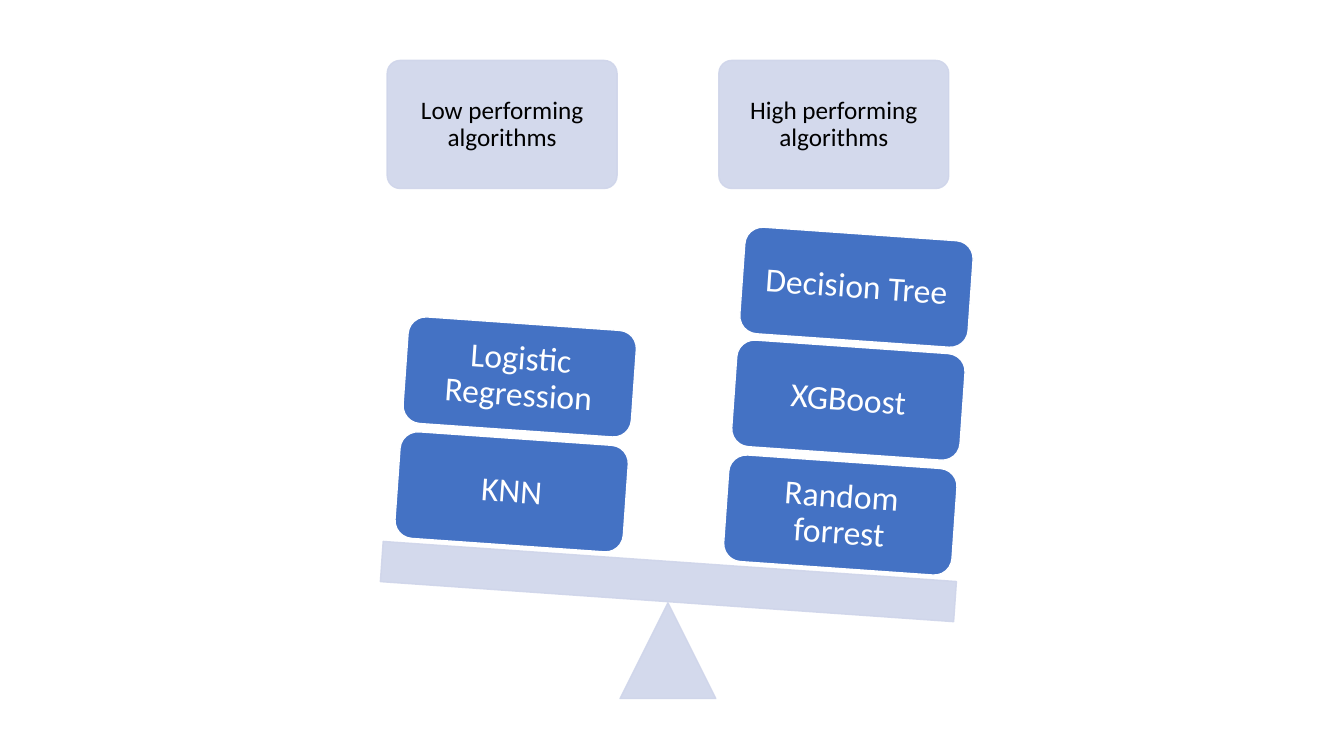
import pptx
import pptx.util
import pptx.dml.color
import pptx.enum.shapes
import pptx.enum.text
import pptx.oxml.ns
import lxml.etree

SIDES = [
    {"heading": "Low performing algorithms", "heading_left": 3.84,
     "base": (3.94, 4.35), "blocks": ["KNN", "Logistic Regression"]},
    {"heading": "High performing algorithms", "heading_left": 7.13,
     "base": (7.2, 4.58), "blocks": ["Random forrest", "XGBoost", "Decision Tree"]},
]
COLORS = {"pale": "CFD5EA", "block": "4472C4", "white": "FFFFFF", "black": "000000"}
FONT = "Calibri"
TILT = 4
PALE_OPACITY = 90
LEVEL_RISE = (0, 1.14, 2.26)
LEVEL_SHIFT = 0.08
HEADING_TOP, HEADING_SIZE = 0.6, (2.28, 1.27)
BLOCK_SIZE = (2.27, 1.06)
KINDS = pptx.enum.shapes.MSO_SHAPE

presentation = pptx.Presentation()
presentation.slide_width = pptx.util.Inches(13.33)
presentation.slide_height = pptx.util.Inches(7.5)
slide = presentation.slides.add_slide(presentation.slide_layouts[6])


def rgb(name):
    return pptx.dml.color.RGBColor.from_string(COLORS[name])


def add_part(kind, left, top, width, height, fill="pale", line="pale",
             opacity=PALE_OPACITY, rotation=0, corner=None):
    box = [pptx.util.Inches(length) for length in (left, top, width, height)]
    shape = slide.shapes.add_shape(kind, *box)
    shape.rotation = rotation
    shape.shadow.inherit = False
    shape.fill.solid()
    shape.fill.fore_color.rgb = rgb(fill)
    shape.line.color.rgb = rgb(line)
    shape.line.width = pptx.util.Pt(1)
    if corner is not None:
        shape.adjustments[0] = corner
    if opacity < 100:
        properties = shape._element.spPr
        for color in properties.iter(pptx.oxml.ns.qn("a:srgbClr")):
            alpha = lxml.etree.SubElement(color, pptx.oxml.ns.qn("a:alpha"))
            alpha.set("val", str(opacity * 1000))
    return shape


def write_text(shape, text, size, color, inset):
    frame = shape.text_frame
    frame.word_wrap = True
    frame.vertical_anchor = pptx.enum.text.MSO_ANCHOR.MIDDLE
    frame.margin_left = frame.margin_right = pptx.util.Inches(inset)
    frame.margin_top = frame.margin_bottom = pptx.util.Inches(inset)
    paragraph = frame.paragraphs[0]
    paragraph.alignment = pptx.enum.text.PP_ALIGN.CENTER
    paragraph.line_spacing = 0.9
    run = paragraph.add_run()
    run.text = text
    run.font.name = FONT
    run.font.size = pptx.util.Pt(size)
    run.font.color.rgb = rgb(color)


for side in SIDES:
    heading = add_part(KINDS.ROUNDED_RECTANGLE, side["heading_left"], HEADING_TOP,
                       *HEADING_SIZE, corner=0.1)
    write_text(heading, side["heading"], size=18, color="black", inset=0.07)

add_part(KINDS.ISOSCELES_TRIANGLE, 6.15, 5.98, 0.95, 0.95)
add_part(KINDS.RECTANGLE, 3.78, 5.57, 5.7, 0.4, rotation=TILT)

for side in reversed(SIDES):
    base_left, base_top = side["base"]
    for level, name in enumerate(side["blocks"]):
        block = add_part(KINDS.ROUNDED_RECTANGLE, base_left + level * LEVEL_SHIFT,
                         base_top - LEVEL_RISE[level], *BLOCK_SIZE,
                         fill="block", line="white", opacity=100, rotation=TILT)
        write_text(block, name, size=24, color="white", inset=0.1)

presentation.save("out.pptx")
